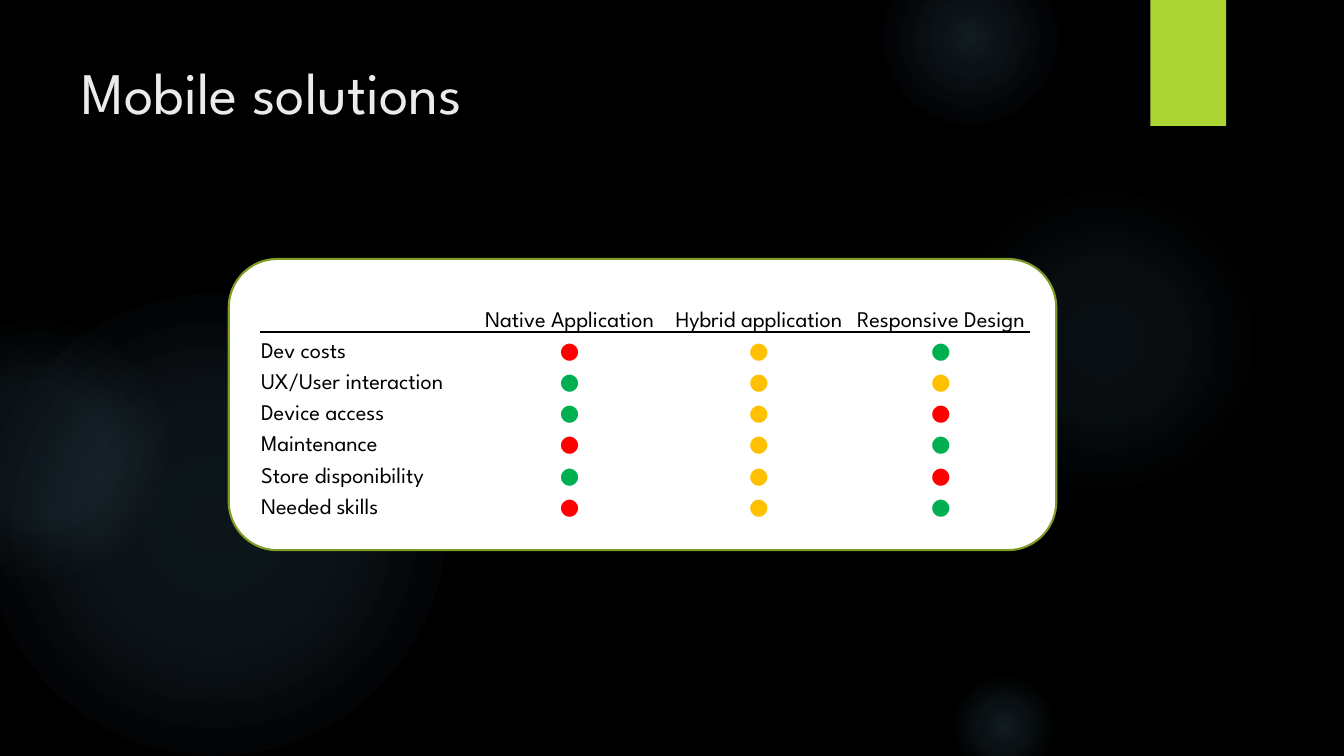
import pptx
import pptx.util
import pptx.dml.color
import pptx.enum.shapes
import pptx.enum.text
import pptx.oxml
import pptx.oxml.ns

Pt = pptx.util.Pt
SHAPES = pptx.enum.shapes.MSO_SHAPE
ALIGN = pptx.enum.text.PP_ALIGN
ANCHOR = pptx.enum.text.MSO_ANCHOR

FONT = "League Spartan"
BLACK, WHITE, GLOW = "000000", "FFFFFF", "7AC4F0"
BAD, FAIR, GOOD = "FF0000", "FFC000", "00B050"

TITLE = "Mobile solutions"
SOLUTIONS = ["Native Application", "Hybrid application", "Responsive Design"]
RATINGS = [
    ("Dev costs", BAD, FAIR, GOOD),
    ("UX/User interaction", GOOD, FAIR, FAIR),
    ("Device access", GOOD, FAIR, BAD),
    ("Maintenance", BAD, FAIR, GOOD),
    ("Store disponibility", GOOD, FAIR, BAD),
    ("Needed skills", BAD, FAIR, GOOD),
]
COLUMN_WIDTHS = [152.6, 136.8, 133.9, 126]
HEADER_HEIGHT, ROW_HEIGHT = 33.4, 22.3

# left, top, diameter, (position, opacity) stops
GLOWS = [
    (-12, 210, 330, [(0, 11), (36, 10), (75, 0)]),
    (-66, 228, 186, [(0, 8), (36, 8), (72, 0)]),
    (677.8, 132, 222, [(0, 7), (36, 6), (69, 0)]),
    (630, -36, 126, [(0, 14), (36, 7), (73, 0)]),
    (677.8, 480, 78, [(0, 14), (36, 7), (66, 0)]),
]


def color(code):
    return pptx.dml.color.RGBColor.from_string(code)


def element(markup):
    namespace = pptx.oxml.ns.nsdecls("a")
    tag, rest = markup.split(" ", 1)
    return pptx.oxml.parse_xml(f"{tag} {namespace} {rest}")


def write(frame, text, size=16, ink=BLACK, align=ALIGN.LEFT):
    para = frame.paragraphs[0]
    para.alignment = align
    span = para.add_run()
    span.text = text
    span.font.size = Pt(size)
    span.font.name = FONT
    span.font.color.rgb = color(ink)


def add_shape(page, kind, left, top, width, height, fill):
    shape = page.shapes.add_shape(kind, Pt(left), Pt(top), Pt(width), Pt(height))
    shape.shadow.inherit = False
    shape.fill.solid()
    shape.fill.fore_color.rgb = color(fill)
    shape.line.fill.background()
    return shape


def add_glow(page, left, top, diameter, stops):
    shape = add_shape(page, SHAPES.OVAL, left, top, diameter, diameter, GLOW)
    marks = "".join(
        f'<a:gs pos="{position * 1000}"><a:srgbClr val="{GLOW}">'
        f'<a:alpha val="{opacity * 1000}"/></a:srgbClr></a:gs>'
        for position, opacity in stops
    )
    gradient = element(
        f'<a:gradFill rotWithShape="1"><a:gsLst>{marks}</a:gsLst><a:path path="circle">'
        '<a:fillToRect l="50000" t="50000" r="50000" b="50000"/></a:path></a:gradFill>'
    )
    properties = shape.element.spPr
    properties.replace(properties.find(pptx.oxml.ns.qn("a:solidFill")), gradient)


def add_accent(page):
    accent = add_shape(page, SHAPES.RECTANGLE, 821.8, 0, 54, 90, "ACD433")
    effects = accent.element.spPr.find(pptx.oxml.ns.qn("a:effectLst"))
    effects.append(element(
        '<a:outerShdw blurRad="38100" dist="25400" dir="5400000" rotWithShape="0">'
        '<a:srgbClr val="000000"><a:alpha val="45000"/></a:srgbClr></a:outerShdw>'
    ))


def add_border(cell, side):
    cell._tc.get_or_add_tcPr().insert(0, element(
        f'<a:{side} w="12700"><a:solidFill><a:srgbClr val="{BLACK}"/></a:solidFill></a:{side}>'
        .replace(f"</a:{side}>", f'<a:prstDash val="solid"/></a:{side}>')
    ))


def add_ratings(page):
    height = HEADER_HEIGHT + ROW_HEIGHT * len(RATINGS)
    table = page.shapes.add_table(
        len(RATINGS) + 1, len(COLUMN_WIDTHS),
        Pt(185.8), Pt(203.8), Pt(sum(COLUMN_WIDTHS)), Pt(height),
    ).table
    table.first_row = table.horz_banding = False
    for column, width in zip(table.columns, COLUMN_WIDTHS):
        column.width = Pt(width)
    for index, row in enumerate(table.rows):
        row.height = Pt(ROW_HEIGHT if index else HEADER_HEIGHT)
        for cell in row.cells:
            cell.fill.solid()
            cell.fill.fore_color.rgb = color(WHITE)
            cell.vertical_anchor = ANCHOR.BOTTOM
            cell.margin_left = cell.margin_right = cell.margin_top = Pt(0.7)
            cell.margin_bottom = Pt(0)
            if index < 2:
                add_border(cell, "lnT" if index else "lnB")
    for number, solution in enumerate(SOLUTIONS, 1):
        write(table.cell(0, number).text_frame, solution, align=ALIGN.CENTER)
    for index, (criterion, *levels) in enumerate(RATINGS, 1):
        write(table.cell(index, 0).text_frame, criterion)
        for number, level in enumerate(levels, 1):
            write(table.cell(index, number).text_frame, "●", ink=level, align=ALIGN.CENTER)


def main():
    deck = pptx.Presentation()
    deck.slide_width, deck.slide_height = Pt(960), Pt(540)
    page = deck.slides.add_slide(deck.slide_layouts[5])
    page.background.fill.solid()
    page.background.fill.fore_color.rgb = color(BLACK)

    for glow in GLOWS:
        add_glow(page, *glow)
    add_accent(page)

    panel = add_shape(page, SHAPES.ROUNDED_RECTANGLE, 163.4, 185, 591.1, 208, WHITE)
    panel.line.color.rgb = color("7F9D26")
    panel.line.width = Pt(1.5)

    title = page.shapes.title
    title.left, title.top, title.width, title.height = Pt(51), Pt(36), Pt(741), Pt(110)
    title.text_frame.auto_size = pptx.enum.text.MSO_AUTO_SIZE.NONE
    title.text_frame.vertical_anchor = ANCHOR.TOP
    write(title.text_frame, TITLE, size=42, ink="EBEBEB")

    add_ratings(page)
    deck.save("out.pptx")


if __name__ == "__main__":
    main()
